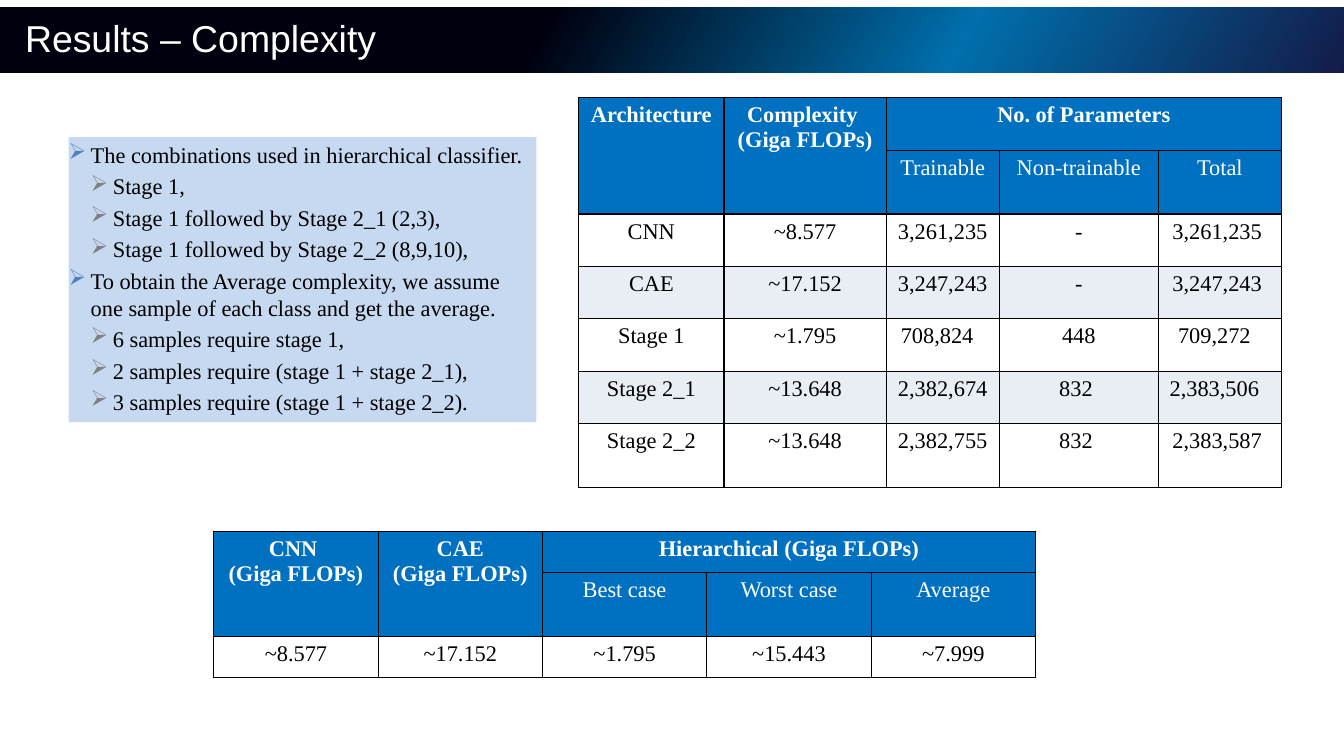
import copy

import lxml.etree
import pptx
import pptx.dml.color
import pptx.enum.shapes
import pptx.enum.text
import pptx.oxml.ns
import pptx.util

Inches = pptx.util.Inches
Pt = pptx.util.Pt
qn = pptx.oxml.ns.qn

COLORS = {
    "night": "00000E", "ocean": "006FAC", "navy": "131C49",
    "panel": "C6D9F1", "header": "0070C0", "band": "E9EDF4",
    "white": "FFFFFF", "black": "000000",
    "bullet": "4F81BD", "sub_bullet": "808080",
}
TITLE = {"name": "Arial", "size": Pt(26.7)}
BODY = {"name": "Times New Roman", "size": Pt(16)}

COMBINATIONS = [
    (0, "The combinations used in hierarchical classifier."),
    (1, "Stage 1,"),
    (1, "Stage 1 followed by Stage 2_1 (2,3),"),
    (1, "Stage 1 followed by Stage 2_2 (8,9,10),"),
    (0, "To obtain the Average complexity, we assume one sample of each class and get the average."),
    (1, "6 samples require stage 1,"),
    (1, "2 samples require (stage 1 + stage 2_1),"),
    (1, "3 samples require (stage 1 + stage 2_2)."),
]
AVERAGES = [
    ["CNN \n(Giga FLOPs)", "CAE\n(Giga FLOPs)", "Hierarchical (Giga FLOPs)", None, None],
    [None, None, "Best case", "Worst case", "Average"],
    ["~8.577", "~17.152", "~1.795", "~15.443", "~7.999"],
]
PARAMETERS = [
    ["Architecture", "Complexity \n(Giga FLOPs)", "No. of Parameters", None, None],
    [None, None, "Trainable", "Non-trainable", "Total"],
    ["CNN", "~8.577", "3,261,235 ", "-", "3,261,235 "],
    ["CAE", "~17.152", "3,247,243 ", "-", "3,247,243 "],
    ["Stage 1", "~1.795", "708,824  ", "448", "709,272  "],
    ["Stage 2_1", "~13.648", "2,382,674 ", "832 ", "2,383,506  "],
    ["Stage 2_2", "~13.648", "2,382,755  ", "832 ", "2,383,587 "],
]


def rgb(color):
    return pptx.dml.color.RGBColor.from_string(COLORS[color])


def apply(target, values):
    for name, value in values.items():
        setattr(target, name, value)


class SlideBuilder:
    def __init__(self, slide):
        self.slide = slide

    def add_text(self, paragraph, text, style, color, bold=False):
        run = paragraph.add_run()
        run.text = text
        apply(run.font, {**style, "bold": bold})
        run.font.color.rgb = rgb(color)

    def rectangle(self, box):
        shape = self.slide.shapes.add_shape(
            pptx.enum.shapes.MSO_SHAPE.RECTANGLE, *map(Inches, box))
        shape.shadow.inherit = False
        shape.line.fill.background()
        return shape

    def gradient_bar(self, box, angle, stops):
        shape = self.rectangle(box)
        fill = shape.fill
        fill.gradient()
        fill.gradient_angle = angle
        stop_list = shape.element.spPr.find(".//" + qn("a:gsLst"))
        stop_list.append(copy.deepcopy(stop_list[-1]))
        for stop, (position, color) in zip(fill.gradient_stops, stops):
            stop.position = position
            stop.color.rgb = rgb(color)

    def title(self, box, text):
        frame = self.slide.shapes.add_textbox(*map(Inches, box)).text_frame
        apply(frame, {"word_wrap": True,
                      "vertical_anchor": pptx.enum.text.MSO_ANCHOR.MIDDLE})
        frame.paragraphs[0].line_spacing = 0.9
        self.add_text(frame.paragraphs[0], text, TITLE, "white")

    def bullet(self, paragraph, level):
        properties = paragraph._p.get_or_add_pPr()
        properties.set("marL", str(Inches(0.22 * (level + 1))))
        properties.set("indent", str(Inches(-0.22)))
        color = lxml.etree.SubElement(properties, qn("a:buClr"))
        value = COLORS["sub_bullet" if level else "bullet"]
        lxml.etree.SubElement(color, qn("a:srgbClr"), val=value)
        lxml.etree.SubElement(properties, qn("a:buChar"), char="➢")

    def bullet_panel(self, box, items):
        shape = self.rectangle(box)
        shape.fill.solid()
        shape.fill.fore_color.rgb = rgb("panel")
        frame = shape.text_frame
        apply(frame, {
            "word_wrap": True, "vertical_anchor": pptx.enum.text.MSO_ANCHOR.TOP,
            "margin_left": 0, "margin_top": Inches(0.04),
            "margin_right": Inches(0.09), "margin_bottom": Inches(0.04)})
        for index, (level, text) in enumerate(items):
            paragraph = frame.add_paragraph() if index else frame.paragraphs[0]
            apply(paragraph, {"level": level, "alignment": pptx.enum.text.PP_ALIGN.LEFT,
                              "space_before": Pt(3.3 if index else 0)})
            self.bullet(paragraph, level)
            self.add_text(paragraph, text, BODY, "black")

    def format_cell(self, cell, fill):
        properties = cell._tc.get_or_add_tcPr()
        for side in ("lnL", "lnR", "lnT", "lnB"):
            line = lxml.etree.SubElement(properties, qn("a:" + side), w=str(Pt(1)))
            solid = lxml.etree.SubElement(line, qn("a:solidFill"))
            lxml.etree.SubElement(solid, qn("a:srgbClr"), val=COLORS["black"])
        cell.fill.solid()
        cell.fill.fore_color.rgb = rgb(fill)

    def table(self, left, top, widths, heights, rows):
        table = self.slide.shapes.add_table(
            len(rows), len(widths), Inches(left), Inches(top),
            Inches(sum(widths)), Inches(sum(heights))).table
        apply(table, {"first_row": False, "horz_banding": False})
        for column, width in zip(table.columns, widths):
            column.width = Inches(width)
        for row, height in zip(table.rows, heights):
            row.height = Inches(height)
        for column in (0, 1):
            table.cell(0, column).merge(table.cell(1, column))
        table.cell(0, 2).merge(table.cell(0, 4))
        for i, row in enumerate(rows):
            fill = "header" if i < 2 else ("band" if i % 2 else "white")
            for j, text in enumerate(row):
                cell = table.cell(i, j)
                self.format_cell(cell, fill)
                if text is None:
                    continue
                for k, line in enumerate(text.split("\n")):
                    frame = cell.text_frame
                    paragraph = frame.add_paragraph() if k else frame.paragraphs[0]
                    paragraph.alignment = pptx.enum.text.PP_ALIGN.CENTER
                    self.add_text(paragraph, line, BODY,
                                  "white" if i < 2 else "black", bold=i == 0)


def main():
    presentation = pptx.Presentation()
    apply(presentation, {"slide_width": Inches(13.33), "slide_height": Inches(7.5)})
    builder = SlideBuilder(presentation.slides.add_slide(presentation.slide_layouts[6]))
    builder.gradient_bar((0, 0.07, 13.33, 0.65), 330,
                         [(0.4, "night"), (0.71, "ocean"), (1, "navy")])
    builder.bullet_panel((0.68, 1.36, 4.64, 2.83), COMBINATIONS)
    builder.title((0.15, 0.12, 11.94, 0.56), "Results – Complexity")
    builder.table(2.12, 5.27, [1.63] * 5, [0.41, 0.59, 0.41], AVERAGES)
    builder.table(5.74, 0.97, [1.44, 1.61, 1.12, 1.58, 1.22],
                  [0.52, 0.59] + [0.52] * 4 + [0.59], PARAMETERS)
    presentation.save("out.pptx")


if __name__ == "__main__":
    main()
